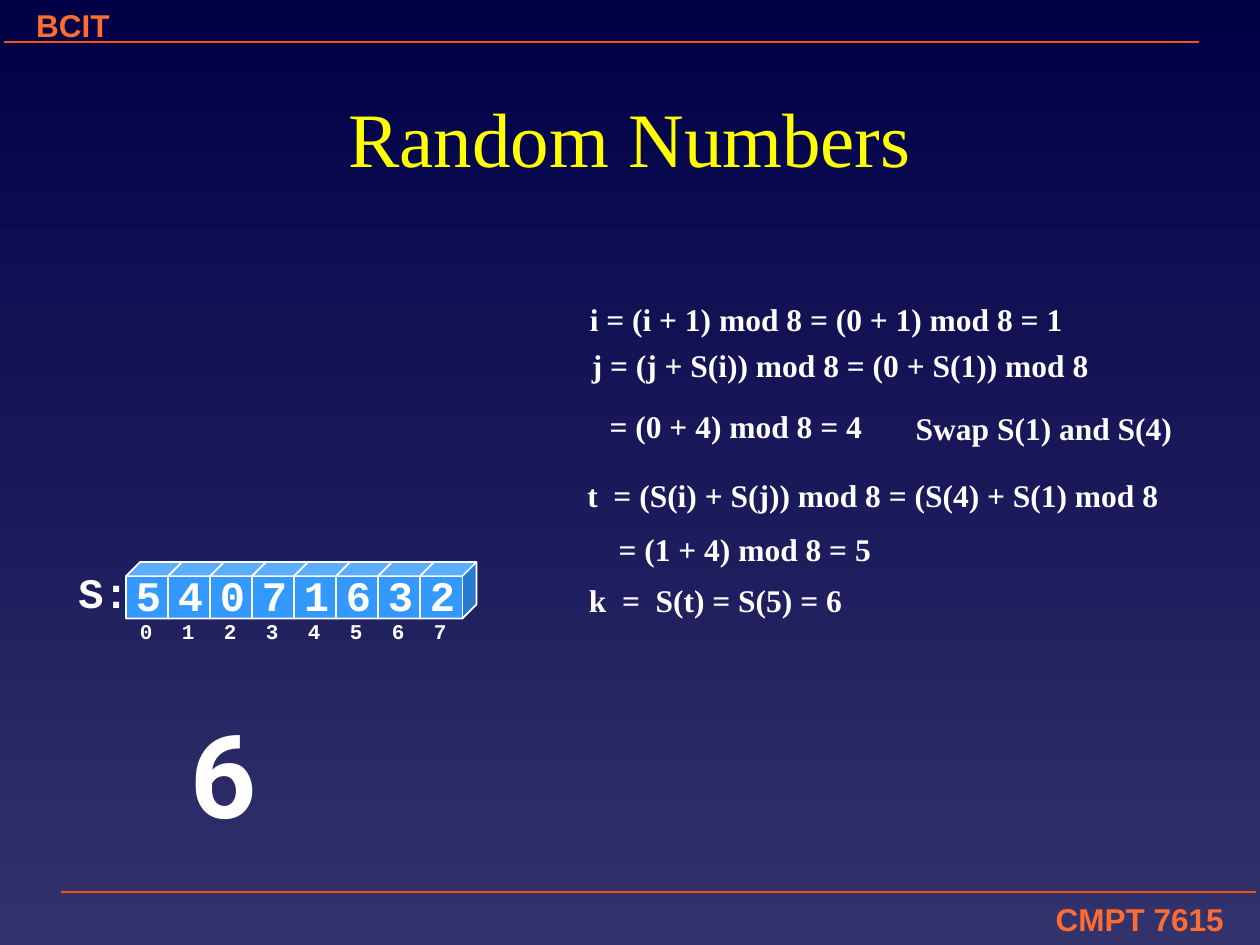
"""Build the Random Numbers slide: a state array S and one generator step."""
from dataclasses import dataclass

from lxml import etree
from pptx import Presentation
from pptx.dml.color import RGBColor
from pptx.enum.shapes import MSO_CONNECTOR, MSO_SHAPE
from pptx.enum.text import MSO_ANCHOR, PP_ALIGN
from pptx.oxml.ns import qn
from pptx.util import Cm, Pt

LEFT, CENTER, RIGHT = PP_ALIGN.LEFT, PP_ALIGN.CENTER, PP_ALIGN.RIGHT
TOP, MIDDLE = MSO_ANCHOR.TOP, MSO_ANCHOR.MIDDLE
CUBE, STRAIGHT = MSO_SHAPE.CUBE, MSO_CONNECTOR.STRAIGHT


@dataclass(frozen=True)
class Theme:
    """Colours, fonts and type sizes of the slide."""
    sky: RGBColor = RGBColor(0x00, 0x00, 0x48)
    ground: RGBColor = RGBColor(0x32, 0x32, 0x6C)
    rule: RGBColor = RGBColor(0xFF, 0x50, 0x08)
    label: RGBColor = RGBColor(0xFF, 0x6C, 0x31)
    title: RGBColor = RGBColor(0xFF, 0xFF, 0x00)
    text: RGBColor = RGBColor(0xFF, 0xFF, 0xFF)
    cube: RGBColor = RGBColor(0x33, 0x99, 0xFF)
    sans: str = "Arial"
    serif: str = "Times New Roman"
    mono: str = "Courier New"
    display: str = "Roboto"
    title_size: int = 44
    body_size: int = 18
    value_size: int = 24
    index_size: int = 12
    result_size: int = 66


theme = Theme()


def add_text(shapes, text, place, face, size, color=theme.text, bold=True,
             align=LEFT, anchor=TOP):
    """Add a one-line text box; place is left, top, width, height in cm."""
    box = shapes.add_textbox(*(Cm(length) for length in place))
    box.text_frame.word_wrap = True
    box.text_frame.vertical_anchor = anchor
    para = box.text_frame.paragraphs[0]
    para.text = text
    para.alignment = align
    para.font.name = face
    para.font.size = Pt(size)
    para.font.bold = bold
    para.font.color.rgb = color


deck = Presentation()
deck.slide_width, deck.slide_height = Cm(25.4), Cm(19.05)
page = deck.slides.add_slide(deck.slide_layouts[6])

backdrop = page.background.fill
backdrop.gradient()
backdrop.gradient_angle = 270
for stop, color in zip(backdrop.gradient_stops, (theme.sky, theme.ground)):
    stop.color.rgb = color

for text, left, top, align in (("CMPT 7615", 13.46, 18.01, RIGHT), ("BCIT", 0.48, 0, LEFT)):
    add_text(page.shapes, text, (left, top, 11.46, 1.02), theme.sans,
             theme.body_size, theme.label, align=align)

for start, end, height in ((25.32, 1.22, 17.98), (24.18, 0.08, 0.84)):
    rule = page.shapes.add_connector(STRAIGHT, Cm(start), Cm(height), Cm(end), Cm(height))
    rule.line.color.rgb = theme.rule
    rule.line.width = Pt(1)
    etree.SubElement(rule._element.spPr, qn("a:effectLst"))

add_text(page.shapes, "Random Numbers", (3.1, 1.07, 19.2, 3.38), theme.serif,
         theme.title_size, theme.title, bold=False, align=CENTER, anchor=MIDDLE)

state = (5, 4, 0, 7, 1, 6, 3, 2)
pitch = 2.54 / 3
array = page.shapes.add_group_shape()
for index in range(len(state)):
    cube = array.shapes.add_shape(CUBE, Cm(2.54 + index * pitch), Cm(11.33), Cm(1.14), Cm(1.14))
    cube.shadow.inherit = False
    cube.fill.solid()
    cube.fill.fore_color.rgb = theme.cube
    cube.line.color.rgb = theme.text
    cube.line.width = Pt(1)

add_text(array.shapes, "S:", (1.33, 11.3, 1.7, 1.27), theme.mono, theme.value_size)
for index, value in enumerate(state):
    add_text(array.shapes, str(index), (2.57 + index * pitch, 12.34, 0.8, 0.76),
             theme.mono, theme.index_size)
    add_text(page.shapes, str(value), (2.49 + index * pitch, 11.35, 1.1, 1.27),
             theme.mono, theme.value_size)

equations = (
    ("i = (i + 1) mod 8 = (0 + 1) mod 8 = 1", 11.64, 5.92, 10.5),
    ("j = (j + S(i)) mod 8 = (0 + S(1)) mod 8", 11.68, 6.86, 11),
    ("= (0 + 4) mod 8 = 4", 12.04, 8.08, 6),
    ("Swap S(1) and S(4)", 18.21, 8.13, 6),
    ("t  = (S(i) + S(j)) mod 8 = (S(4) + S(1) mod 8", 11.59, 9.47, 12.5),
    ("= (1 + 4) mod 8 = 5", 12.22, 10.57, 6),
    ("k  =  S(t) = S(5) = 6", 11.62, 11.58, 6),
)
for text, left, top, width in equations:
    add_text(page.shapes, text, (left, top, width, 1.02), theme.serif, theme.body_size)

add_text(page.shapes, "6", (3.6, 14.05, 1.9, 3.05), theme.display, theme.result_size)

deck.save("out.pptx")
